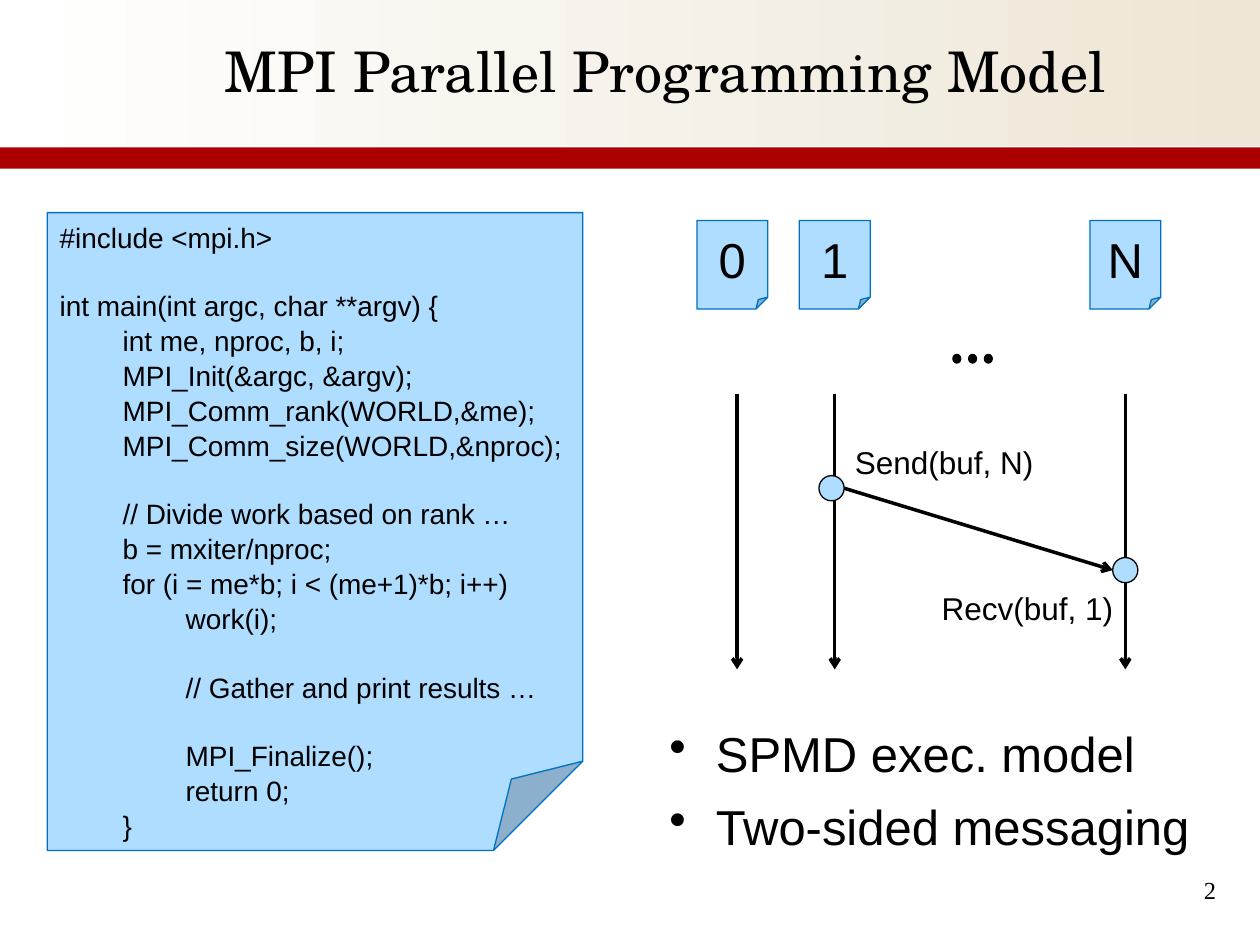
from lxml import etree
from pptx import Presentation
from pptx.dml.color import RGBColor
from pptx.enum.shapes import MSO_CONNECTOR, MSO_SHAPE
from pptx.enum.text import MSO_ANCHOR, PP_ALIGN
from pptx.oxml.ns import qn
from pptx.util import Inches, Pt

RECT, OVAL, SHEET = MSO_SHAPE.RECTANGLE, MSO_SHAPE.OVAL, MSO_SHAPE.FOLDED_CORNER
STRAIGHT = MSO_CONNECTOR.STRAIGHT
TOP, MIDDLE = MSO_ANCHOR.TOP, MSO_ANCHOR.MIDDLE
LEFT, CENTER, RIGHT = PP_ALIGN.LEFT, PP_ALIGN.CENTER, PP_ALIGN.RIGHT

BLACK = RGBColor(0x00, 0x00, 0x00)
WHITE = RGBColor(0xFF, 0xFF, 0xFF)
CREAM = RGBColor(0xEE, 0xE6, 0xD6)
RED = RGBColor(0xAC, 0x00, 0x00)
PAPER = RGBColor(0xAF, 0xDD, 0xFF)
PAPER_EDGE = RGBColor(0x00, 0x70, 0xC0)

# The slide is a grid of 160 columns by 120 rows, sixteen to the inch
COLUMNS, ROWS = 160, 120

# Code lines: indent depth, blank lines above, text
CODE = [
    (0, 0, "#include <mpi.h>"),
    (0, 1, "int main(int argc, char **argv) {"),
    (1, 0, "int me, nproc, b, i;"),
    (1, 0, "MPI_Init(&argc, &argv);"),
    (1, 0, "MPI_Comm_rank(WORLD,&me);"),
    (1, 0, "MPI_Comm_size(WORLD,&nproc);"),
    (1, 1, "// Divide work based on rank …"),
    (1, 0, "b = mxiter/nproc;"),
    (1, 0, "for (i = me*b; i < (me+1)*b; i++)"),
    (2, 0, "work(i);"),
    (2, 1, "// Gather and print results …"),
    (2, 1, "MPI_Finalize();"),
    (2, 0, "return 0;"),
    (1, 0, "}"),
]
# Processes: label, sheet centre, lifeline column
PROCESSES = [("0", 8, 8.6), ("1", 21, 21), ("N", 57.9, 57.9)]
POINTS = ["SPMD exec. model", "Two-sided messaging"]


def grid(*cells):
    return [Inches(cell / 16) for cell in cells]


def set_font(paragraph, size, name="Arial"):
    paragraph.font.size = Pt(size)
    paragraph.font.name = name
    paragraph.font.color.rgb = BLACK


def add_shape(slide, kind, box, fill=None, edge=None):
    shape = slide.shapes.add_shape(kind, *grid(*box))
    shape.shadow.inherit = False
    if fill is not None:
        shape.fill.solid()
        shape.fill.fore_color.rgb = fill
    if edge is None:
        shape.line.fill.background()
    else:
        shape.line.color.rgb = edge
        shape.line.width = Pt(0.75)
    return shape


def add_line(slide, start, end, color=BLACK, width=2, arrow=True):
    line = slide.shapes.add_connector(STRAIGHT, *grid(*start, *end))
    line.line.color.rgb = color
    line.line.width = Pt(width)
    if arrow:
        etree.SubElement(line.line._get_or_add_ln(), qn("a:tailEnd"), type="arrow")
    etree.SubElement(line._element.spPr, qn("a:effectLst"))


def add_text(slide, box, text, size, name="Arial", align=LEFT, spacing=1.0,
             anchor=TOP, wrap=True, inset=True):
    frame = slide.shapes.add_textbox(*grid(*box)).text_frame
    frame.word_wrap = wrap
    frame.vertical_anchor = anchor
    if not inset:
        frame.margin_left = frame.margin_right = 0
        frame.margin_top = frame.margin_bottom = 0
    paragraph = frame.paragraphs[0]
    paragraph.text = text
    paragraph.alignment = align
    paragraph.line_spacing = spacing
    set_font(paragraph, size, name)


def header(slide, box):
    left, top, width, height = box
    band = add_shape(slide, RECT, box)
    band.fill.gradient()
    band.fill.gradient_angle = 180
    for stop, color in zip(band.fill.gradient_stops, (CREAM, WHITE)):
        stop.color.rgb = color
    rule = top + height - 0.3
    add_line(slide, (left, rule), (left + width, rule), WHITE, 1.5, arrow=False)
    add_shape(slide, RECT, (left, rule, width, 2.7), RED)
    add_text(slide, (left + 17.3, top + 4, 134.5, 10.5),
             "MPI Parallel Programming Model", 32, "TeX Gyre Schola",
             CENTER, 0.95, MIDDLE, inset=False)


def code_sheet(slide, box):
    frame = add_shape(slide, SHEET, box, PAPER, PAPER_EDGE).text_frame
    frame.word_wrap = True
    frame.vertical_anchor = TOP
    for number, (depth, blanks, text) in enumerate(CODE):
        line = frame.add_paragraph() if number else frame.paragraphs[0]
        line.text = text
        line.alignment = LEFT
        line.line_spacing = 1.04
        line.space_before = Pt(19.2 * blanks)
        line._p.get_or_add_pPr().set("marL", str(Inches(0.5 * depth)))
        set_font(line, 16)


def message_diagram(slide, box):
    left, top, width, height = box

    # Lifelines
    for _, _, column in PROCESSES:
        x = left + column
        add_line(slide, (x, top + 22), (x, top + height))

    # Dots for the processes between
    for column in (36, 38, 40):
        add_shape(slide, OVAL, (left + column, top + 17, 1, 1.1), BLACK, BLACK)

    # Message from process 1 to process N
    radius = 1.6
    send = (left + 20.6, top + 34)
    receive = (left + 57.9, top + 44.4)
    add_line(slide, (send[0] + radius, send[1]), (receive[0] - radius, receive[1]))
    for x, y in (send, receive):
        add_shape(slide, OVAL, (x - radius, y - radius, 2 * radius, 2 * radius),
                  PAPER, BLACK)

    # Process sheets
    for label, centre, _ in PROCESSES:
        sheet = add_shape(slide, SHEET, (left + centre - 4.5, top, 9, 11.25),
                          PAPER, PAPER_EDGE)
        sheet.text_frame.vertical_anchor = MIDDLE
        paragraph = sheet.text_frame.paragraphs[0]
        paragraph.text = label
        paragraph.alignment = CENTER
        set_font(paragraph, 28)

    # Call labels
    for text, column, row in (("Send(buf, N)", 22, 27.5), ("Recv(buf, 1)", 33, 46)):
        add_text(slide, (left + column, top + row, 26, 6.4), text, 18, wrap=False)


def key_points(slide, box):
    frame = slide.shapes.add_textbox(*grid(*box)).text_frame
    frame.word_wrap = True
    frame.margin_left = frame.margin_right = frame.margin_bottom = 0
    frame.margin_top = Pt(7)
    for number, text in enumerate(POINTS):
        point = frame.add_paragraph() if number else frame.paragraphs[0]
        point.text = text
        point.line_spacing = 1.04
        point.space_before = Pt(7 if number else 0)
        properties = point._p.get_or_add_pPr()
        properties.set("marL", str(Inches(0.37)))
        properties.set("indent", str(-Inches(0.37)))
        etree.SubElement(properties, qn("a:buChar"), char="•")
        set_font(point, 28)


def main():
    presentation = Presentation()
    presentation.slide_width, presentation.slide_height = grid(COLUMNS, ROWS)
    slide = presentation.slides.add_slide(presentation.slide_layouts[6])
    header(slide, (0, 0, COLUMNS, 19))
    code_sheet(slide, (6, 27, 68, 81))
    message_diagram(slide, (85, 28, 64, 57))
    key_points(slide, (85, 90, 72, 19))
    add_text(slide, (118.7, 110.7, 37.3, 6.7), "2", 14, "Times New Roman", RIGHT, 0.93)
    presentation.save("out.pptx")


if __name__ == "__main__":
    main()
